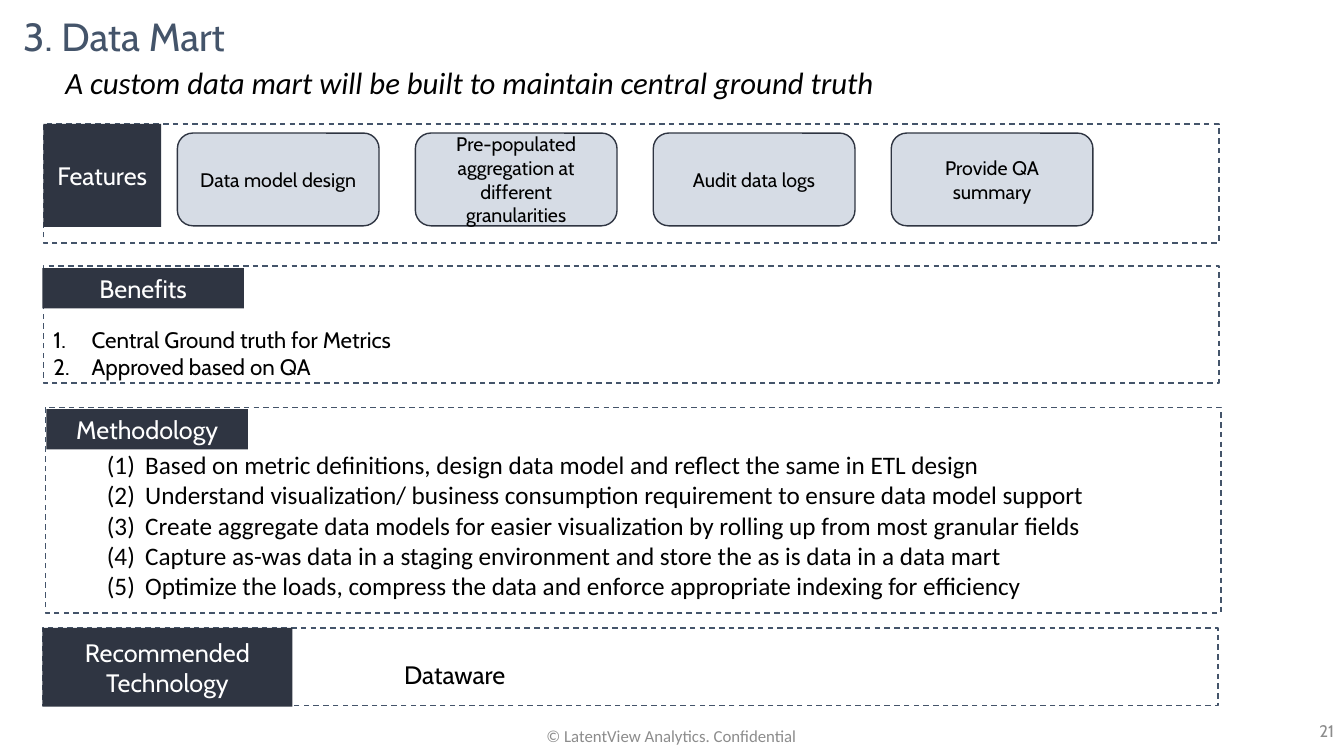
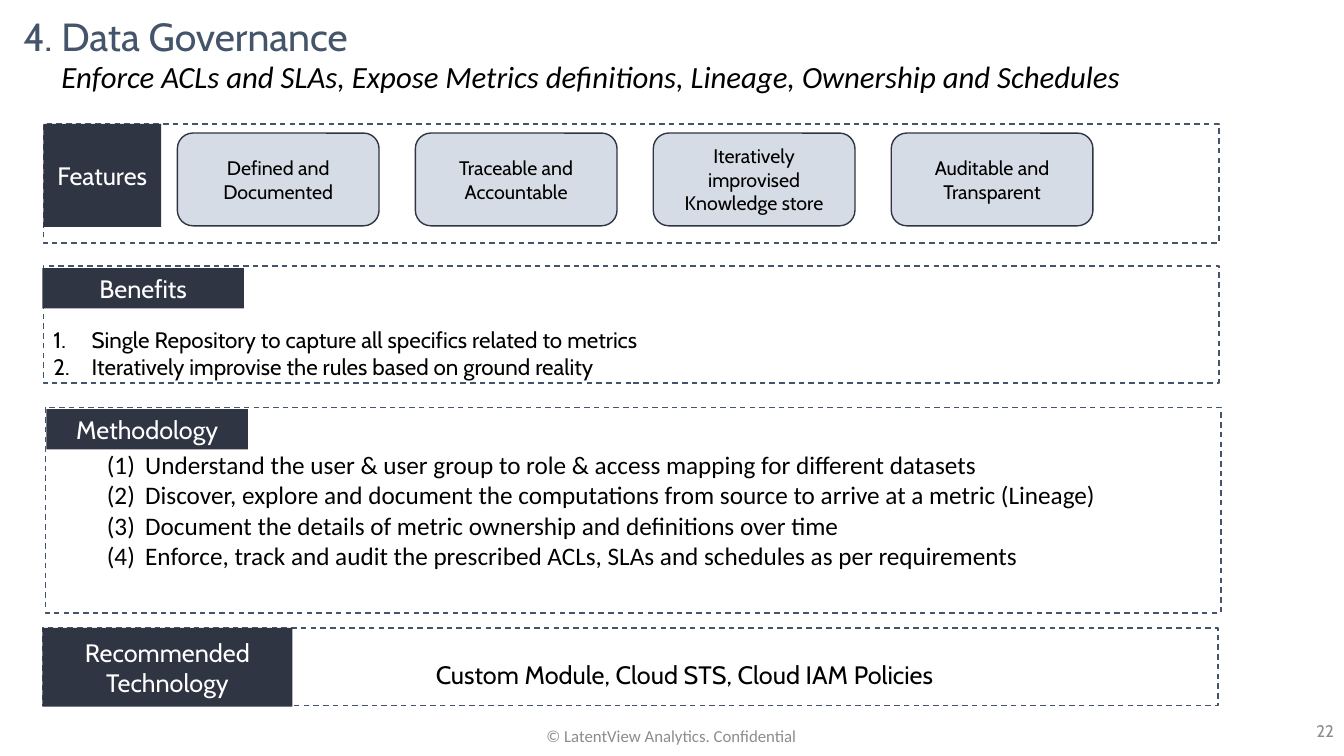
from lxml import etree
from pptx import Presentation
from pptx import util as u
from pptx.dml.color import RGBColor
from pptx.enum import dml, shapes, text
from pptx.oxml.ns import qn

TOPICS = [
    {
        "page": "21",
        "title": "3. Data Mart",
        "tagline": "A custom data mart will be built to maintain central ground truth",
        "tagline_at": (0.55, 0.58, 12, 0.47),
        "features": [
            "Data model design",
            "Pre-populated aggregation at different granularities",
            "Audit data logs",
            "Provide QA summary",
        ],
        "benefits": ["Central Ground truth for Metrics", "Approved based on QA"],
        "methodology": [
            "Based on metric definitions, design data model and reflect the same in ETL design",
            "Understand visualization/ business consumption requirement to ensure data model support",
            "Create aggregate data models for easier visualization by rolling up from most granular fields",
            "Capture as-was data in a staging environment and store the as is data in a data mart",
            "Optimize the loads, compress the data and enforce appropriate indexing for efficiency",
        ],
        "technology": "Dataware",
        "technology_at": (3.57, 6.49, 1.88, 0.4),
    },
    {
        "page": "22",
        "title": "4. Data Governance",
        "tagline": "Enforce ACLs and SLAs, Expose Metrics definitions, Lineage, Ownership and Schedules",
        "tagline_at": (0.51, 0.52, 12, 0.47),
        "features": [
            "Defined and Documented",
            "Traceable and Accountable",
            "Iteratively improvised Knowledge store",
            "Auditable and Transparent",
        ],
        "benefits": [
            "Single Repository to capture all specifics related to metrics",
            "Iteratively improvise the rules based on ground reality",
        ],
        "methodology": [
            "Understand the user & user group to role & access mapping for different datasets",
            "Discover, explore and document the computations from source to arrive at a metric (Lineage)",
            "Document the details of metric ownership and definitions over time",
            "Enforce, track and audit the prescribed ACLs, SLAs and schedules as per requirements",
        ],
        "technology": "Custom Module, Cloud STS, Cloud IAM Policies",
        "technology_at": (3.58, 6.49, 6.42, 0.4),
    },
]

SECTIONS = [
    ("Features", (0.43, 1.23, 11.66, 1.18), (0.43, 1.23, 1.17, 1.02)),
    ("Benefits", (0.43, 2.64, 11.66, 1.16), (0.42, 2.66, 2, 0.4)),
    ("Methodology", (0.45, 4.04, 11.66, 2.04), (0.46, 4.06, 2, 0.4)),
    ("Recommended Technology", (0.42, 6.23, 11.66, 0.77), (0.42, 6.23, 2.48, 0.78)),
]
COPYRIGHT = "© LatentView Analytics. Confidential"

COLORS = {
    "slate": "44546A",
    "navy": "2F3542",
    "mist": "D6DCE5",
    "black": "000000",
    "white": "FFFFFF",
    "gray": "8C8C8C",
}

LEFT, CENTER, RIGHT = text.PP_ALIGN.LEFT, text.PP_ALIGN.CENTER, text.PP_ALIGN.RIGHT
TOP, MIDDLE, BOTTOM = (
    text.MSO_ANCHOR.TOP, text.MSO_ANCHOR.MIDDLE, text.MSO_ANCHOR.BOTTOM)

STYLES = {
    "title": ({"name": "Cabin", "size": u.Pt(28)}, "slate", LEFT, MIDDLE),
    "tagline": ({"name": "Calibri", "size": u.Pt(22), "italic": True}, "black", LEFT, TOP),
    "label": ({"name": "Cabin", "size": u.Pt(18)}, "white", CENTER, MIDDLE),
    "feature": ({"name": "Cabin", "size": u.Pt(14)}, "black", CENTER, MIDDLE),
    "benefits": ({"name": "Cabin", "size": u.Pt(16)}, "black", LEFT, BOTTOM),
    "methodology": ({"name": "Calibri", "size": u.Pt(18)}, "black", LEFT, TOP),
    "technology": ({"name": "Cabin", "size": u.Pt(18)}, "black", CENTER, TOP),
    "page": ({"name": "Cabin", "size": u.Pt(12)}, "gray", RIGHT, TOP),
    "copyright": ({"name": "Calibri", "size": u.Pt(12)}, "gray", CENTER, MIDDLE),
}


def rgb(color):
    return RGBColor.from_string(COLORS[color])


def inches(box):
    return [u.Inches(length) for length in box]


def move(holder, box):
    for side, length in zip(("left", "top", "width", "height"), inches(box)):
        setattr(holder, side, length)


def write(holder, lines, style):
    font_values, color, align, anchor = STYLES[style]
    frame = holder.text_frame
    frame.word_wrap = True
    frame.auto_size = text.MSO_AUTO_SIZE.NONE
    frame.vertical_anchor = anchor
    frame.text = "\n".join(lines)
    for paragraph in frame.paragraphs:
        paragraph.alignment = align
        for run in paragraph.runs:
            for key, value in font_values.items():
                setattr(run.font, key, value)
            run.font.color.rgb = rgb(color)
    return frame


def add_text(slide, box, line, style):
    write(slide.shapes.add_textbox(*inches(box)), [line], style)


def add_block(slide, box, fill=None, line=None, dashed=False, rounded=False):
    preset = "ROUNDED_RECTANGLE" if rounded else "RECTANGLE"
    block = slide.shapes.add_shape(getattr(shapes.MSO_SHAPE, preset), *inches(box))
    block.shadow.inherit = False
    if fill:
        block.fill.solid()
        block.fill.fore_color.rgb = rgb(fill)
    else:
        block.fill.background()
    if line:
        block.line.color.rgb = rgb(line)
        block.line.width = u.Pt(1)
    else:
        block.line.fill.background()
    if dashed:
        block.line.dash_style = dml.MSO_LINE.DASH
    return block


def write_numbered(holder, box, lines, style, scheme, margin):
    move(holder, box)
    frame = write(holder, lines, style)
    frame.margin_bottom = u.Inches(0.03)
    for paragraph in frame.paragraphs:
        paragraph.space_before = u.Pt(0)
        properties = paragraph._p.get_or_add_pPr()
        properties.set("marL", str(u.Inches(margin)))
        properties.set("indent", str(u.Inches(-0.38)))
        etree.SubElement(properties, qn("a:buFont"), typeface=STYLES[style][0]["name"])
        etree.SubElement(properties, qn("a:buAutoNum"), type=scheme)


def build_topic(prs, topic):
    slide = prs.slides.add_slide(prs.slide_layouts.get_by_name("Two Content"))
    title, benefits, methodology = [slide.placeholders[i] for i in range(3)]
    move(title, (0.13, 0, 12.25, 0.77))
    write(title, [topic["title"]], "title").paragraphs[0].line_spacing = 0.9
    write_numbered(benefits, SECTIONS[1][1], topic["benefits"],
                   "benefits", "arabicPeriod", 0.38)
    write_numbered(methodology, (0.46, 4.41, 11.65, 1.62), topic["methodology"],
                   "methodology", "arabicParenBoth", 0.88)

    for name, panel_box, label_box in SECTIONS:
        add_block(slide, panel_box, line="slate", dashed=True)
        write(add_block(slide, label_box, fill="navy"), [name], "label")
    for column, feature in enumerate(topic["features"]):
        card = add_block(slide, (1.76 + 2.36 * column, 1.32, 2, 0.92),
                         fill="mist", line="navy", rounded=True)
        write(card, [feature], "feature")

    add_text(slide, topic["tagline_at"], topic["tagline"], "tagline")
    add_text(slide, topic["technology_at"], topic["technology"], "technology")
    add_text(slide, (10.33, 7.1, 3, 0.4), topic["page"], "page")
    add_text(slide, (4.41, 7.1, 4.5, 0.4), COPYRIGHT, "copyright")


def main():
    prs = Presentation()
    prs.slide_width, prs.slide_height = u.Inches(13.33), u.Inches(7.5)
    for topic in TOPICS:
        build_topic(prs, topic)
    prs.save("out.pptx")


if __name__ == "__main__":
    main()
